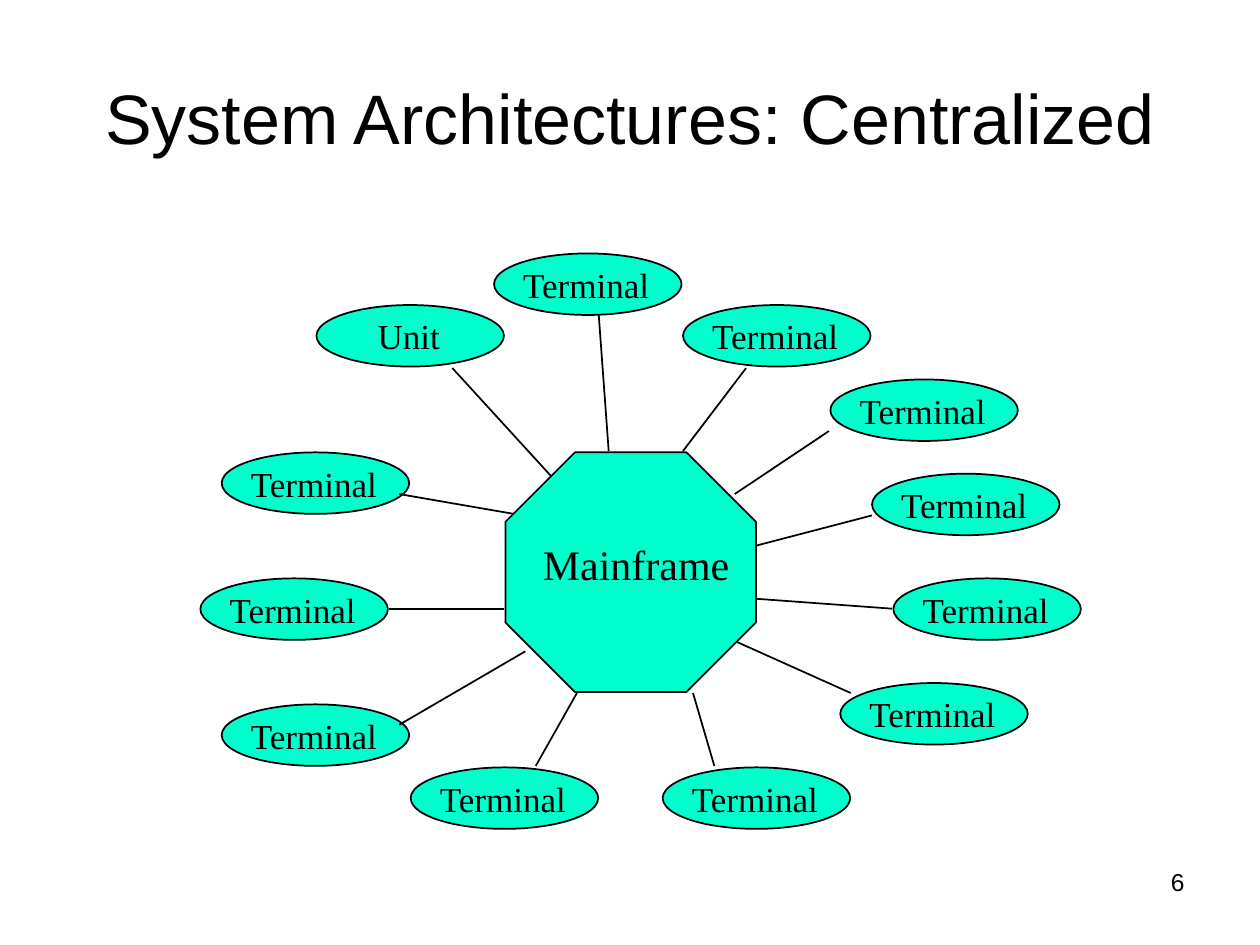
from lxml import etree
from pptx import Presentation
from pptx.dml.color import RGBColor
from pptx.enum.shapes import MSO_CONNECTOR, MSO_SHAPE
from pptx.enum.text import MSO_ANCHOR, MSO_AUTO_SIZE, PP_ALIGN
from pptx.oxml.ns import qn
from pptx.util import Cm, Pt

OVAL, OCTAGON = MSO_SHAPE.OVAL, MSO_SHAPE.OCTAGON
STRAIGHT = MSO_CONNECTOR.STRAIGHT
TOP, MIDDLE = MSO_ANCHOR.TOP, MSO_ANCHOR.MIDDLE
CENTER, RIGHT = PP_ALIGN.CENTER, PP_ALIGN.RIGHT
FIT_SHAPE = MSO_AUTO_SIZE.SHAPE_TO_FIT_TEXT

# Content: all lengths in cm
TITLE = ("System Architectures: Centralized", (1.27, 0.76, 22.86, 3.18))
PAGE_NUMBER = ("6", (18.21, 17.35, 5.92, 1.32))
MAINFRAME = ("Mainframe", (10.19, 9.12, 5.05, 4.83))
MAINFRAME_LABEL_AREA = (10.69, 10.74, 4.27, 1.27)
TERMINAL_SIZE = (3.78, 1.24)
LABEL_SIZE = (3.1, 1.09)
LABEL_SHIFT = -0.03

# Label, left and top of the ellipse, link start, link end; clockwise
TERMINALS = [
    ("Unit", (6.38, 6.15), (9.12, 7.42), (11.23, 9.73)),
    ("Terminal", (9.96, 5.11), (12.07, 6.35), (12.27, 9.09)),
    ("Terminal", (13.77, 6.15), (15.04, 7.42), (13.77, 9.09)),
    ("Terminal", (16.74, 7.65), (16.71, 8.69), (14.81, 9.96)),
    ("Terminal", (17.58, 9.55), (17.58, 10.39), (15.24, 11)),
    ("Terminal", (18.01, 11.66), (17.98, 12.27), (15.24, 12.07)),
    ("Terminal", (16.94, 13.77), (17.15, 13.97), (14.83, 12.93)),
    ("Terminal", (13.36, 15.47), (14.4, 15.44), (13.97, 13.97)),
    ("Terminal", (8.28, 15.47), (10.8, 15.44), (11.63, 13.97)),
    ("Terminal", (4.47, 14.2), (8.05, 14.61), (10.59, 13.13)),
    ("Terminal", (4.04, 11.66), (7.85, 12.27), (10.16, 12.27)),
    ("Terminal", (4.47, 9.12), (8.05, 9.96), (10.36, 10.36)),
]

BLACK = RGBColor(0, 0, 0)
THEME = {
    "node": RGBColor(0x00, 0xFF, 0xCC),
    "line": BLACK,
    "line_width": Pt(1),
    "title": {"name": "Arial", "size": Pt(40)},
    "page": {"name": "Arial", "size": Pt(14)},
    "mainframe": {"name": "Times New Roman", "size": Pt(24)},
    "terminal": {"name": "Times New Roman", "size": Pt(20)},
}
HEADING_FRAME = {"word_wrap": True, "vertical_anchor": MIDDLE}
PAGE_FRAME = {"word_wrap": True, "vertical_anchor": TOP}
LABEL_FRAME = {"word_wrap": False, "auto_size": FIT_SHAPE,
               "vertical_anchor": TOP}


def apply(target, formats):
    for attribute, value in formats.items():
        setattr(target, attribute, value)


def in_cm(values):
    return [Cm(value) for value in values]


def style_line(line):
    line.color.rgb = THEME["line"]
    line.width = THEME["line_width"]


def add_text(slide, text, area, font, frame_format, align=CENTER):
    frame = slide.shapes.add_textbox(*in_cm(area)).text_frame
    apply(frame, frame_format)
    paragraph = frame.paragraphs[0]
    paragraph.alignment = align
    run = paragraph.add_run()
    run.text = text
    apply(run.font, THEME[font])
    run.font.color.rgb = BLACK


def add_node(slide, kind, area):
    node = slide.shapes.add_shape(kind, *in_cm(area))
    node.shadow.inherit = False
    node.fill.solid()
    node.fill.fore_color.rgb = THEME["node"]
    style_line(node.line)
    return node


def add_link(slide, start, end):
    link = slide.shapes.add_connector(STRAIGHT, *in_cm(start + end))
    style_line(link.line)
    properties = link._element.find(qn("p:spPr"))
    etree.SubElement(properties, qn("a:effectLst"))


def add_terminal(slide, label, corner):
    add_node(slide, OVAL, corner + TERMINAL_SIZE)
    # The label is centred on its ellipse, slightly to the left
    left, top = (start + (outer - inner) / 2 for start, outer, inner
                 in zip(corner, TERMINAL_SIZE, LABEL_SIZE))
    add_text(slide, label, (left + LABEL_SHIFT, top) + LABEL_SIZE,
             "terminal", LABEL_FRAME)


def main():
    deck = Presentation()
    deck.slide_width, deck.slide_height = Cm(25.4), Cm(19.05)
    slide = deck.slides.add_slide(deck.slide_layouts[6])

    # Title and page number
    add_text(slide, *TITLE, "title", HEADING_FRAME)
    add_text(slide, *PAGE_NUMBER, "page", PAGE_FRAME, RIGHT)

    # Terminals, then their links
    for label, corner, _, _ in TERMINALS:
        add_terminal(slide, label, corner)
    for _, _, start, end in TERMINALS:
        add_link(slide, start, end)

    # Mainframe in the centre, covering the link ends
    name, area = MAINFRAME
    add_node(slide, OCTAGON, area).adjustments[0] = 0.29
    add_text(slide, name, MAINFRAME_LABEL_AREA, "mainframe", LABEL_FRAME)

    deck.save("out.pptx")


if __name__ == "__main__":
    main()
